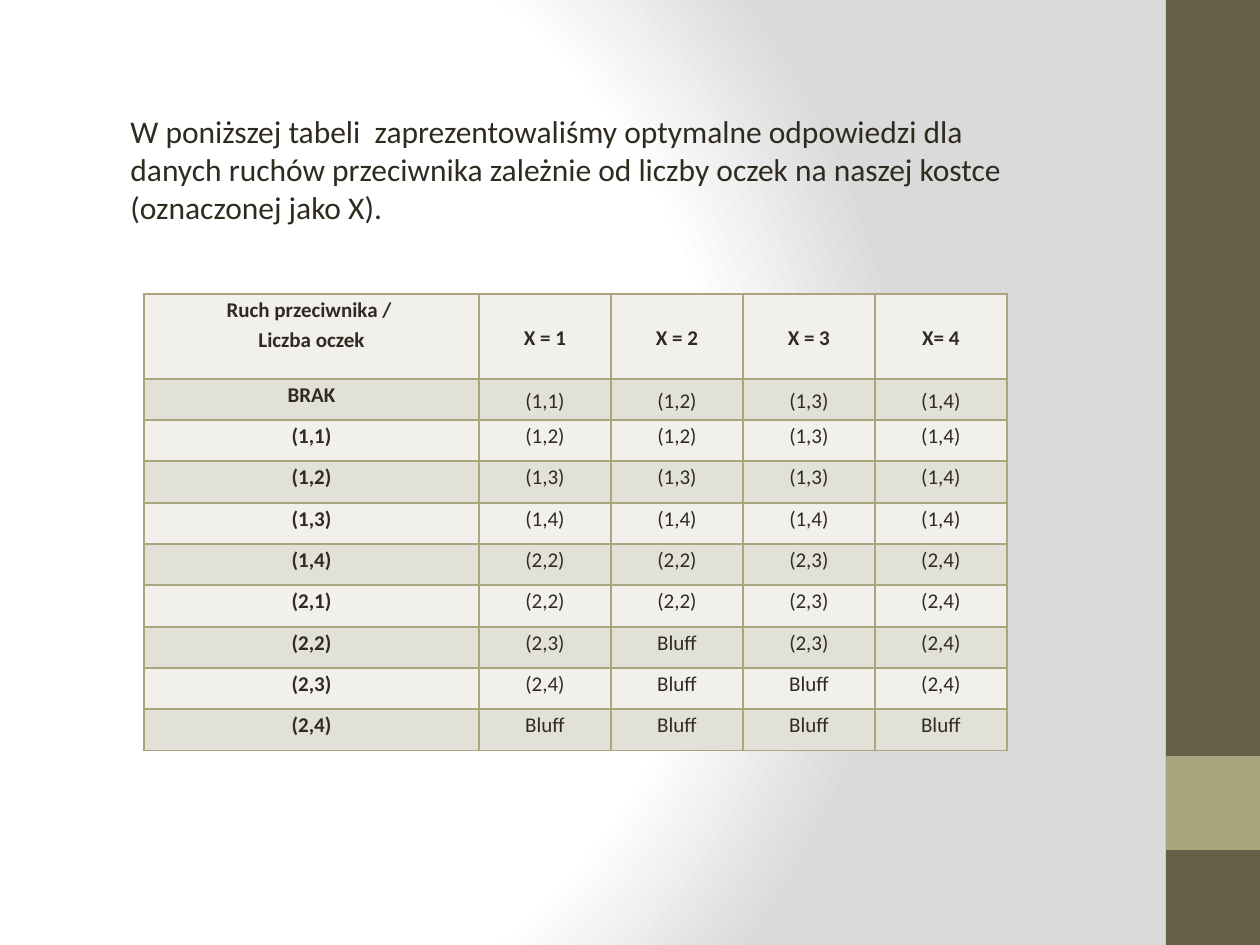
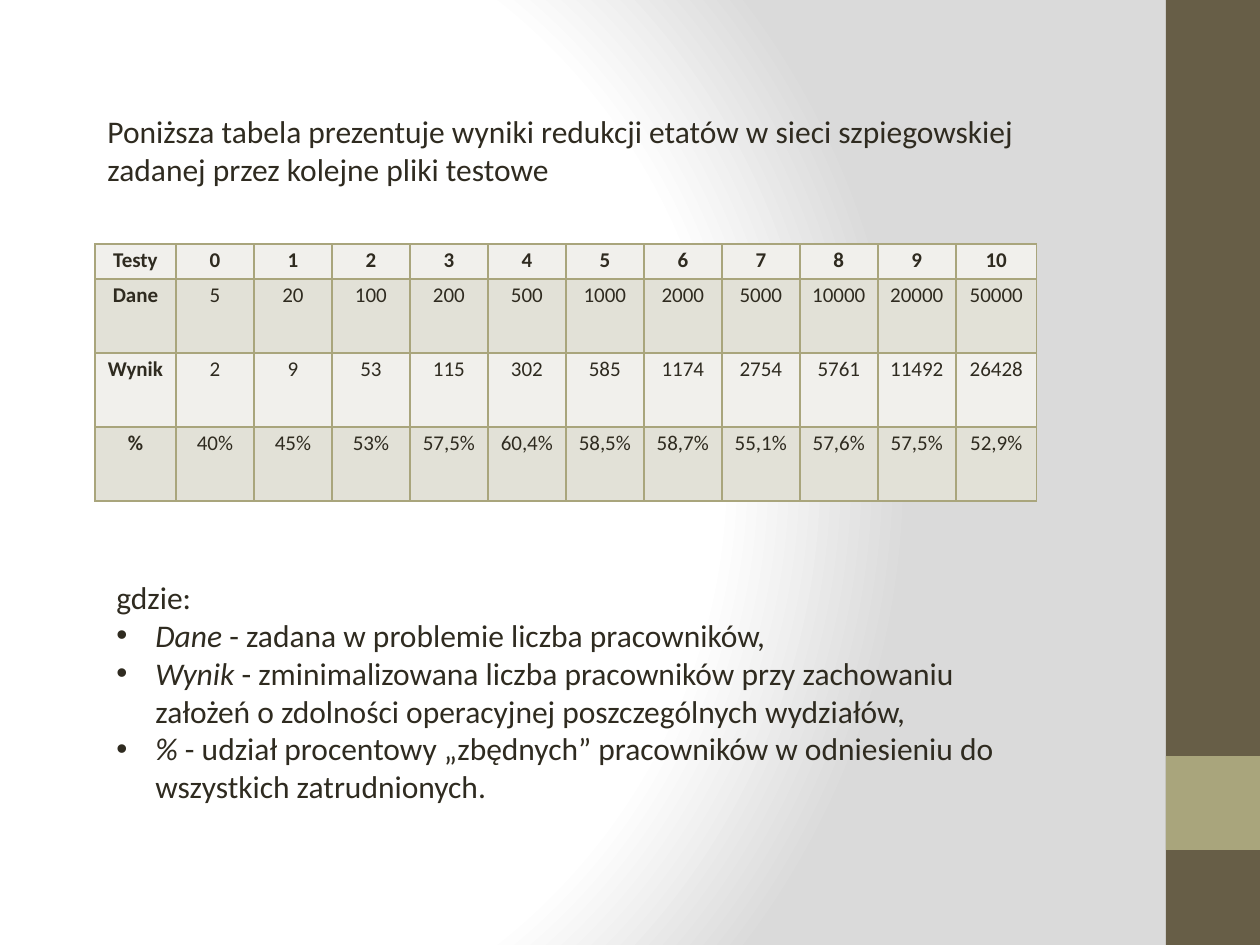
from pptx import Presentation
from pptx.dml.color import RGBColor
from pptx.enum.shapes import MSO_SHAPE as Preset
from pptx.enum.text import MSO_ANCHOR as Anchor, MSO_AUTO_SIZE as AutoSize, PP_ALIGN as Align
from pptx.oxml import parse_xml
from pptx.oxml.ns import nsdecls
from pptx.util import Pt

PIXEL = 914400 // 126
FONT = "Calibri"
COLORS = {
    "text": "2F2B20",
    "band": "675E47",
    "accent": "A9A57C",
    "row_light": "F1F0EC",
    "row_dark": "E2E1D7",
    "page": "FFFFFF",
    "page_edge": "DADADA",
}
BANDS = [(0, 945, "band"), (756, 94, "accent")]


def add_text(page, left, top, width, height, lines):
    """Add a wrapped text box; a (term, rest) line becomes a bullet with an italic term."""
    box = page.shapes.add_textbox(*(n * PIXEL for n in (left, top, width, height)))
    frame = box.text_frame
    frame.word_wrap = True
    frame.auto_size = AutoSize.SHAPE_TO_FIT_TEXT
    for number, line in enumerate(lines):
        para = frame.paragraphs[0] if number == 0 else frame.add_paragraph()
        para.font.name, para.font.size = FONT, Pt(18)
        para.font.color.rgb = RGBColor.from_string(COLORS["text"])
        if isinstance(line, str):
            para.text = line
            continue
        term, rest = line
        span = para.add_run()
        span.text, span.font.italic = term, True
        para.add_run().text = rest
        props = para._p.get_or_add_pPr()
        props.set("marL", str(39 * PIXEL))
        props.set("indent", str(-39 * PIXEL))
        for mark in ('<a:buFont {} typeface="Arial"/>', '<a:buChar {} char="•"/>'):
            props.insert_element_before(parse_xml(mark.format(nsdecls("a"))), "a:defRPr")


def add_grid(page, left, top, widths, heights, rows):
    """Add a banded table with a bold first row and column, and return it."""
    frame = page.shapes.add_table(len(rows), len(widths), left * PIXEL, top * PIXEL,
                                  sum(widths) * PIXEL, sum(heights) * PIXEL)
    table = frame.table
    for column, width in zip(table.columns, widths):
        column.width = width * PIXEL
    for row, height in zip(table.rows, heights):
        row.height = height * PIXEL
    for r, values in enumerate(rows):
        for c, value in enumerate(values):
            cell = table.cell(r, c)
            cell.text = value
            cell.margin_left = cell.margin_right = 9 * PIXEL
            cell.margin_top = cell.margin_bottom = 0
            for side in "LRTB":
                cell._tc.get_or_add_tcPr().append(parse_xml(
                    f'<a:ln{side} {nsdecls("a")} w="12700"><a:solidFill>'
                    f'<a:srgbClr val="{COLORS["accent"]}"/></a:solidFill></a:ln{side}>'))
            cell.fill.solid()
            shade = "row_dark" if r % 2 else "row_light"
            cell.fill.fore_color.rgb = RGBColor.from_string(COLORS[shade])
            para = cell.text_frame.paragraphs[0]
            para.alignment, para.line_spacing = Align.CENTER, 1.15
            para.font.name, para.font.size = FONT, Pt(12)
            para.font.bold = r == 0 or c == 0
            para.font.color.rgb = RGBColor.from_string(COLORS["text"])
    return table


deck = Presentation()
deck.slide_width, deck.slide_height = 1260 * PIXEL, 945 * PIXEL

# Shared background: a circular gradient on the master
backdrop = deck.slide_master.background.fill
backdrop.solid()
solid = deck.slide_master.element.find(".//{*}bgPr/{*}solidFill")
stops = "".join(f'<a:gs pos="{pos}000"><a:srgbClr val="{COLORS[name]}"/></a:gs>'
                for pos, name in [(0, "page"), (75, "page"), (100, "page_edge")])
solid.getparent().replace(solid, parse_xml(
    f'<a:gradFill {nsdecls("a")} rotWithShape="1"><a:gsLst>{stops}</a:gsLst>'
    '<a:path path="circle"><a:fillToRect l="20000" t="50000" r="100000" b="50000"/></a:path>'
    '</a:gradFill>'))

# Shared side bands
pages = [deck.slides.add_slide(deck.slide_layouts[6]) for _ in range(2)]
for page in pages:
    for top, height, name in BANDS:
        band = page.shapes.add_shape(Preset.RECTANGLE, 1166 * PIXEL, top * PIXEL,
                                     94 * PIXEL, height * PIXEL)
        band.shadow.inherit = False
        band.fill.solid()
        band.fill.fore_color.rgb = RGBColor.from_string(COLORS[name])
        band.line.fill.background()
moves_page, tests_page = pages

# Slide 1: best answers to the opponent's moves
add_text(moves_page, 118, 106, 953, 127, [
    "W poniższej tabeli  zaprezentowaliśmy optymalne odpowiedzi dla danych ruchów "
    "przeciwnika zależnie od liczby oczek na naszej kostce (oznaczonej jako X)."])
answers = [
    ["Ruch przeciwnika / \vLiczba oczek", "X = 1", "X = 2", "X = 3", "X= 4"],
    ["BRAK", "(1,1)", "(1,2)", "(1,3)", "(1,4)"],
    ["(1,1)", "(1,2)", "(1,2)", "(1,3)", "(1,4)"],
    ["(1,2)", "(1,3)", "(1,3)", "(1,3)", "(1,4)"],
    ["(1,3)", "(1,4)", "(1,4)", "(1,4)", "(1,4)"],
    ["(1,4)", "(2,2)", "(2,2)", "(2,3)", "(2,4)"],
    ["(2,1)", "(2,2)", "(2,2)", "(2,3)", "(2,4)"],
    ["(2,2)", "(2,3)", "Bluff", "(2,3)", "(2,4)"],
    ["(2,3)", "(2,4)", "Bluff", "Bluff", "(2,4)"],
    ["(2,4)", "Bluff", "Bluff", "Bluff", "Bluff"],
]
moves_table = add_grid(moves_page, 144, 294, [335] + [132] * 4,
                       [85] + [41, 41, 42] * 3, answers)
for r in (0, 1):
    for c in range(1, 5):
        moves_table.cell(r, c).vertical_anchor = Anchor.MIDDLE

# Slide 2: results of the test files
results = [
    ["Testy"] + [str(n) for n in range(11)],
    "Dane 5 20 100 200 500 1000 2000 5000 10000 20000 50000".split(),
    "Wynik 2 9 53 115 302 585 1174 2754 5761 11492 26428".split(),
    "% 40% 45% 53% 57,5% 60,4% 58,5% 58,7% 55,1% 57,6% 57,5% 52,9%".split(),
]
add_grid(tests_page, 95, 244, [81] + [78] * 10 + [81], [35] + [74] * 3, results)
add_text(tests_page, 95, 106, 992, 89, [
    "Poniższa tabela prezentuje wyniki redukcji etatów w sieci szpiegowskiej "
    "zadanej przez kolejne pliki testowe"])
add_text(tests_page, 104, 572, 954, 242, [
    "gdzie:",
    ("Dane", " - zadana w problemie liczba pracowników,"),
    ("Wynik", " - zminimalizowana liczba pracowników przy zachowaniu założeń "
              "o zdolności operacyjnej poszczególnych wydziałów,"),
    ("%", " - udział procentowy „zbędnych” pracowników w odniesieniu do "
          "wszystkich zatrudnionych."),
])

deck.save("out.pptx")
